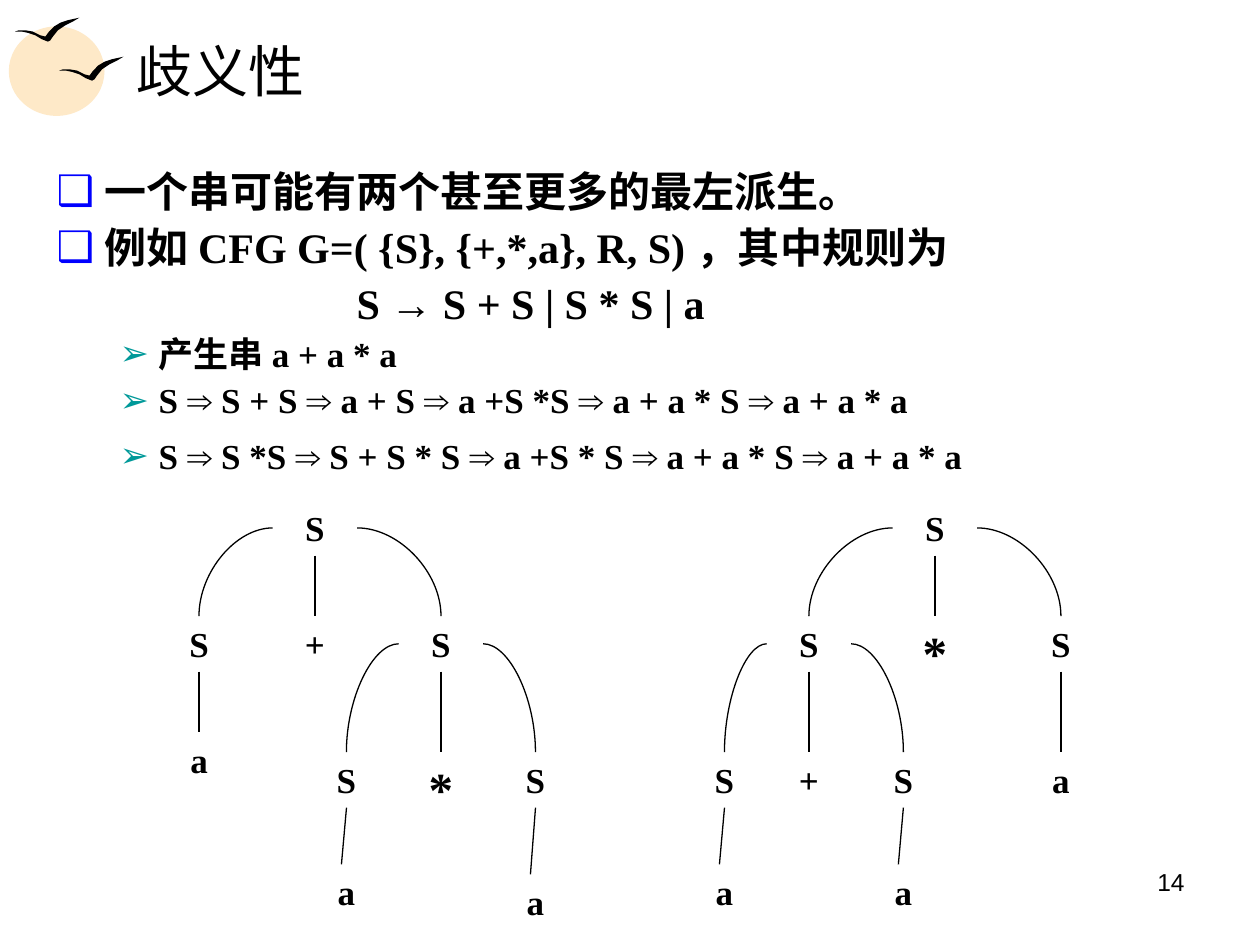
from lxml.etree import SubElement
from pptx import Presentation
from pptx.dml.color import RGBColor
from pptx.enum.shapes import MSO_CONNECTOR, MSO_SHAPE
from pptx.enum.text import MSO_ANCHOR, MSO_AUTO_SIZE, PP_ALIGN
from pptx.oxml.ns import qn
from pptx.util import Inches, Pt

SERIF, SANS = "Times New Roman", "Arial"


def color(hex_string):
    return RGBColor.from_string(hex_string)


def add_run(paragraph, text, size, font=SERIF, bold=True):
    run = paragraph.add_run()
    run.text = text
    run.font.size, run.font.name, run.font.bold = Pt(size), font, bold
    run.font.color.rgb = color("000000")


prs = Presentation()
prs.slide_width, prs.slide_height = Inches(10), Inches(7.5)
slide = prs.slides.add_slide(prs.slide_layouts[1])

# Sun and two birds in the corner
sun = slide.shapes.add_shape(MSO_SHAPE.OVAL, Inches(0.07), Inches(0.21), Inches(0.76), Inches(0.71))
decorations = [(sun, "FEE9C8")]
wings = [(0, 11), (3, 10), (8, 10), (14, 11), (20, 14), (24, 15), (27, 11),
         (31, 7), (36, 4), (42, 2), (51, 0), (46, 3), (40, 6), (34, 10),
         (30, 15), (28, 18), (26, 19), (21, 17), (16, 14), (10, 12), (5, 11)]
for left, top in [(47, 45), (12, 14)]:
    outline = [(left + x, top + y) for x, y in wings]
    builder = slide.shapes.build_freeform(*outline[0], scale=Inches(0.01))
    builder.add_line_segments(outline[1:], close=True)
    decorations.append((builder.convert_to_shape(), "000000"))
for decoration, fill in decorations:
    decoration.shadow.inherit = False
    decoration.fill.solid()
    decoration.fill.fore_color.rgb = color(fill)
    decoration.line.fill.background()

# Title
title = slide.shapes.title
title.left, title.top, title.width, title.height = Inches(0.98), Inches(0.21), Inches(8.53), Inches(0.69)
title.text_frame.vertical_anchor = MSO_ANCHOR.MIDDLE
title.text_frame.auto_size = MSO_AUTO_SIZE.NONE
heading = title.text_frame.paragraphs[0]
heading.alignment = PP_ALIGN.LEFT
add_run(heading, "歧义性", 32, bold=False)

# Grammar and derivations: level, bullet, bullet colour, margin, indent, size, space before, text
topic = (0, "❑", "0000FF", 0.38, -0.38, 24)
rule = (0, None, None, 2.38, 0, 24)
step = (1, "➢", "009999", 0.81, -0.31, 20)
statements = [
    (*topic, 0, "一个串可能有两个甚至更多的最左派生。"),
    (*topic, 6, "例如 CFG G=( {S}, {+,*,a}, R, S) ，其中规则为"),
    (*rule, 6, "S → S + S | S * S | a"),
    (*step, 5, "产生串 a + a * a"),
    (*step, 5, "S ⇒ S + S ⇒ a + S ⇒ a +S *S ⇒ a + a * S ⇒ a + a * a"),
    (*step, 10, "S ⇒ S *S ⇒ S + S * S ⇒ a +S * S ⇒ a + a * S ⇒ a + a * a"),
]
body = slide.placeholders[1]
body.left, body.top, body.width, body.height = Inches(0.35), Inches(1.31), Inches(9.15), Inches(2.76)
body.text_frame.auto_size = MSO_AUTO_SIZE.NONE
for i, (level, bullet, bullet_color, margin, indent, size, before, text) in enumerate(statements):
    statement = body.text_frame.paragraphs[0] if i == 0 else body.text_frame.add_paragraph()
    statement.level = level
    statement.alignment = PP_ALIGN.LEFT
    properties = statement._p.get_or_add_pPr()
    properties.set("marL", str(Inches(margin)))
    properties.set("indent", str(Inches(indent)))
    if bullet:
        SubElement(SubElement(properties, qn("a:buClr")), qn("a:srgbClr"), val=bullet_color)
        SubElement(properties, qn("a:buFont"), typeface=SANS)
        SubElement(properties, qn("a:buChar"), char=bullet)
    else:
        SubElement(properties, qn("a:buNone"))
    statement.line_spacing = 0.9
    statement.space_before = Pt(before)
    arrow = "→" if "→" in text else "⇒"
    for j, part in enumerate(text.split(arrow)):
        if j:
            add_run(statement, arrow, size, SANS)
        add_run(statement, part, size)

# Parse trees: symbol, centre, top, index of the parent node
NODE_WIDTH, NODE_HEIGHT, SLANT = 0.67, 0.44, 0.04
ROOT, SECOND, THIRD, LEAVES = 3.97, 4.89, 5.97, 6.86
sum_first = [
    ("S", 2.5, ROOT, None), ("S", 1.58, SECOND, 0), ("+", 2.5, SECOND, 0), ("S", 3.5, SECOND, 0),
    ("a", 1.58, 5.81, 1), ("S", 2.75, THIRD, 3), ("*", 3.5, THIRD, 3), ("S", 4.25, THIRD, 3),
    ("a", 2.75, LEAVES, 5), ("a", 4.25, 6.94, 7),
]
product_first = [
    ("S", 7.42, ROOT, None), ("S", 6.42, SECOND, 0), ("*", 7.42, SECOND, 0), ("S", 8.42, SECOND, 0),
    ("S", 5.75, THIRD, 1), ("+", 6.42, THIRD, 1), ("S", 7.17, THIRD, 1), ("a", 8.42, THIRD, 3),
    ("a", 5.75, LEAVES, 4), ("a", 7.17, LEAVES, 6),
]
for nodes in (sum_first, product_first):
    tree = slide.shapes.add_group_shape()
    for symbol, center, top, parent in nodes:
        size, height = (28, 0.57) if symbol == "*" else (20, NODE_HEIGHT)
        node = tree.shapes.add_textbox(Inches(center - NODE_WIDTH / 2), Inches(top),
                                       Inches(NODE_WIDTH), Inches(height))
        node.text_frame.word_wrap = True
        label = node.text_frame.paragraphs[0]
        label.alignment = PP_ALIGN.CENTER
        add_run(label, symbol, size)
        if parent is None:
            continue

        # Branch: an arc to a side child, a straight line to a child below
        _, parent_center, parent_top, _ = nodes[parent]
        is_arc = center != parent_center
        if is_arc:
            side = 1 if center > parent_center else -1
            kind, start_x, start_y = MSO_CONNECTOR.CURVE, parent_center + side * NODE_WIDTH / 2, parent_top + NODE_HEIGHT / 2
        else:
            kind, start_x, start_y = MSO_CONNECTOR.STRAIGHT, parent_center, parent_top + NODE_HEIGHT
        end_x = center - SLANT if top >= LEAVES else center
        branch = tree.shapes.add_connector(kind, Inches(start_x), Inches(start_y), Inches(end_x), Inches(top))
        branch.line.color.rgb = color("000000")
        branch.line.width = Pt(0.75)
        branch_properties = branch._element.spPr
        SubElement(branch_properties, qn("a:effectLst"))
        if is_arc:
            branch_properties.find(qn("a:prstGeom")).set("prst", "curvedConnector2")

# Page number
page_number = slide.shapes.add_textbox(Inches(7.17), Inches(6.83), Inches(2.33), Inches(0.52))
page_number.text_frame.word_wrap = True
number = page_number.text_frame.paragraphs[0]
number.alignment = PP_ALIGN.RIGHT
add_run(number, "14", 14, SANS, bold=False)

prs.save("out.pptx")
